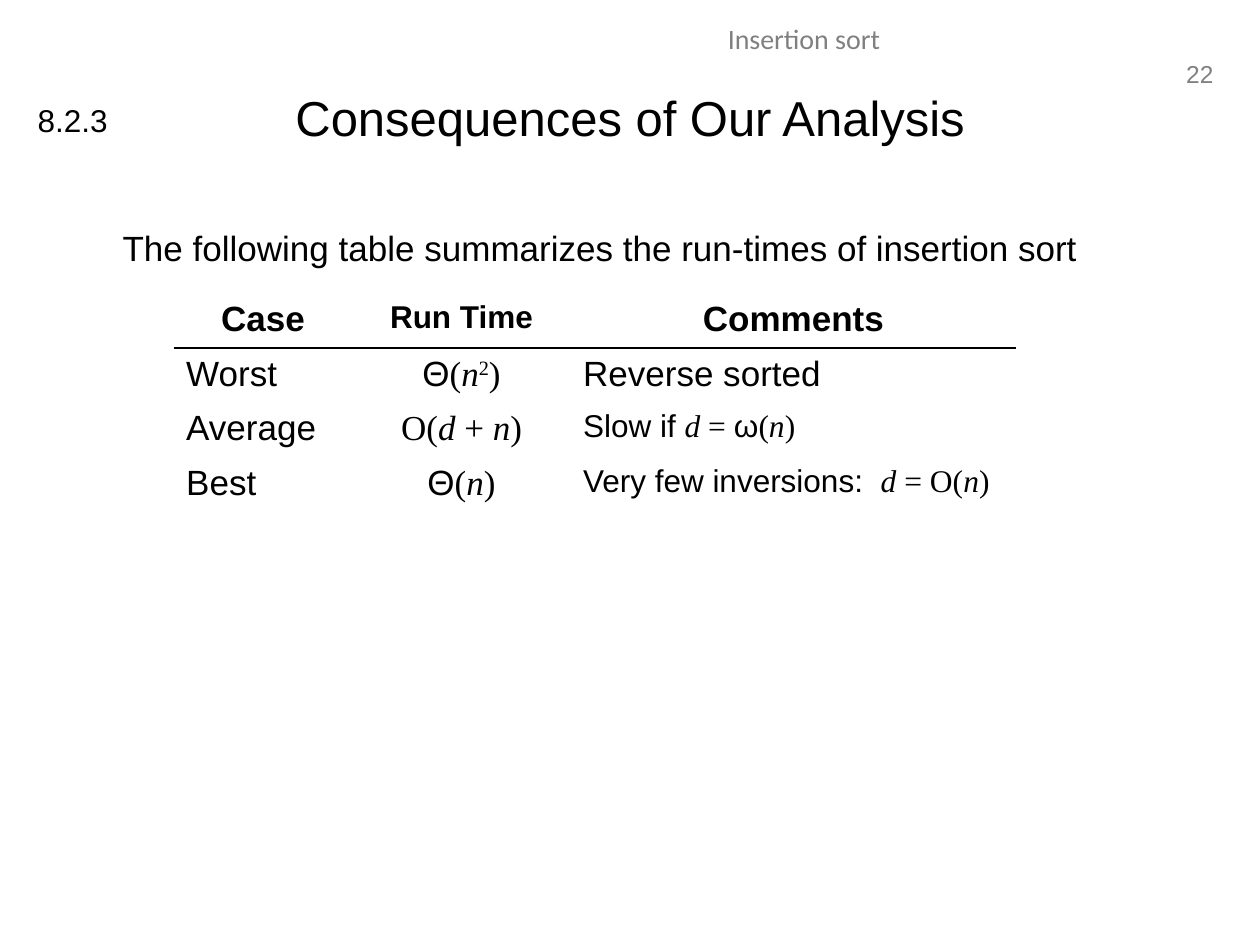
from dataclasses import dataclass

from lxml import etree
from pptx import Presentation
from pptx.dml.color import RGBColor
from pptx.enum.text import MSO_ANCHOR, PP_ALIGN
from pptx.oxml.ns import qn
from pptx.util import Pt

LEFT, MID, RIGHT = PP_ALIGN.LEFT, PP_ALIGN.CENTER, PP_ALIGN.RIGHT
CENTER = MSO_ANCHOR.MIDDLE


@dataclass(frozen=True)
class Theme:
    """Colours, fonts and type sizes."""
    ink: str = "000000"
    grey: str = "808080"
    sans: str = "Arial"
    serif: str = "Times New Roman"
    head: str = "Calibri"
    title: int = 28
    body: int = 20
    small: int = 18
    topic: int = 16
    page: int = 14


THEME = Theme()
SANS, BOLD, MATH, VAR, SUP = "sans", "bold", "math", "var", "sup"
SERIF = (MATH, VAR, SUP)
BIG, SMALL = THEME.body, THEME.small

ROWS = [
    [(BIG, [("Case", BOLD)]),
     (SMALL, [("Run Time", BOLD)]),
     (BIG, [("Comments", BOLD)])],
    [(BIG, [("Worst", SANS)]),
     (BIG, [("Θ", SANS), ("(", MATH), ("n", VAR), ("2", SUP), (")", MATH)]),
     (BIG, [("Reverse sorted", SANS)])],
    [(BIG, [("Average", SANS)]),
     (BIG, [("O(", MATH), ("d", VAR), (" + ", MATH), ("n", VAR), (")", MATH)]),
     (SMALL, [("Slow if ", SANS), ("d", VAR), (" = ", MATH), ("ω", SANS),
              ("(", MATH), ("n", VAR), (")", MATH)])],
    [(BIG, [("Best", SANS)]),
     (BIG, [("Θ", SANS), ("(", MATH), ("n", VAR), (")", MATH)]),
     (SMALL, [("Very few inversions:  ", SANS), ("d", VAR), (" = O(", MATH),
              ("n", VAR), (")", MATH)])],
]
COLS = (102.24, 124.56, 254.88)


def add_run(para, text, size, face=THEME.sans, color=THEME.ink):
    """Add one run and return its font."""
    run = para.add_run()
    run.text = text
    font = run.font
    font.size, font.name = Pt(size), face
    font.color.rgb = RGBColor.from_string(color)
    return font


def add_rich(para, runs, size):
    """Add runs of words and maths."""
    for text, style in runs:
        face = THEME.serif if style in SERIF else THEME.sans
        font = add_run(para, text, size, face)
        font.bold, font.italic = style == BOLD, style == VAR
        if style == SUP:
            font._element.set("baseline", "30000")


def add_text(slide, box, text, size, align=LEFT, face=THEME.sans,
             color=THEME.ink, wrap=True):
    """Place one line of text and return its paragraph."""
    frame = slide.shapes.add_textbox(*map(Pt, box)).text_frame
    frame.word_wrap = wrap
    para = frame.paragraphs[0]
    para.alignment = align
    add_run(para, text, size, face, color)
    return para


def add_header(slide, box):
    """Place the topic and the page number."""
    left, top, width, height = box
    add_text(slide, (left, top, 459.36, 28.8), "Insertion sort",
             THEME.topic, MID, THEME.head, THEME.grey)
    add_text(slide, (left + width - 31.68, top + height - 23.76, 31.68, 23.76),
             "22", THEME.page, RIGHT, color=THEME.grey, wrap=False)


def add_title(slide, box):
    """Fill the title and place the section number beside it."""
    title = slide.shapes.title
    title.left, title.top, title.width, title.height = map(Pt, box)
    frame = title.text_frame
    frame.vertical_anchor = CENTER
    para = frame.paragraphs[0]
    para.alignment = MID
    add_run(para, "Consequences of Our Analysis", THEME.title)
    left, top = box[:2]
    add_text(slide, (left - 21.6, top + 32.4, 54.72, 28.8), "8.2.3",
             THEME.small, wrap=False)


def add_intro(slide, box):
    """Place the indented opening sentence."""
    para = add_text(slide, box, "The following table summarizes the run-times "
                    "of insertion sort", THEME.body)
    para._p.get_or_add_pPr().set("marL", str(Pt(27)))


def add_edges(cell, ruled):
    """Draw the ruled sides of a cell and clear the others."""
    props = cell._tc.get_or_add_tcPr()
    for side in "LRTB":
        line = etree.SubElement(props, qn(f"a:ln{side}"), w=str(Pt(1)))
        if side == ruled:
            fill = etree.SubElement(line, qn("a:solidFill"))
            etree.SubElement(fill, qn("a:srgbClr"), val=THEME.ink)
        else:
            etree.SubElement(line, qn("a:noFill"))
    cell.fill.background()


def add_times(slide, box):
    """Place the table of run times."""
    table = slide.shapes.add_table(len(ROWS), len(COLS), *map(Pt, box)).table
    table.first_row = table.horz_banding = False
    for col, width in zip(table.columns, COLS):
        col.width = Pt(width)
    for r, row in enumerate(ROWS):
        for c, (size, runs) in enumerate(row):
            cell = table.cell(r, c)
            para = cell.text_frame.paragraphs[0]
            para.alignment = MID if r == 0 or c == 1 else LEFT
            add_rich(para, runs, size)
            add_edges(cell, {0: "B", 1: "T"}.get(r))


def main():
    """Build the slide and save it."""
    deck = Presentation()
    deck.slide_width, deck.slide_height = Pt(720), Pt(540)
    slide = deck.slides.add_slide(deck.slide_layouts[5])
    add_header(slide, (229.68, 8.64, 470.88, 45.36))
    add_title(slide, (36, 21.6, 648, 90))
    add_intro(slide, (36, 126, 648, 356.4))
    add_times(slide, (99.2, 167.76, sum(COLS), 124.8))
    deck.save("out.pptx")


if __name__ == "__main__":
    main()
